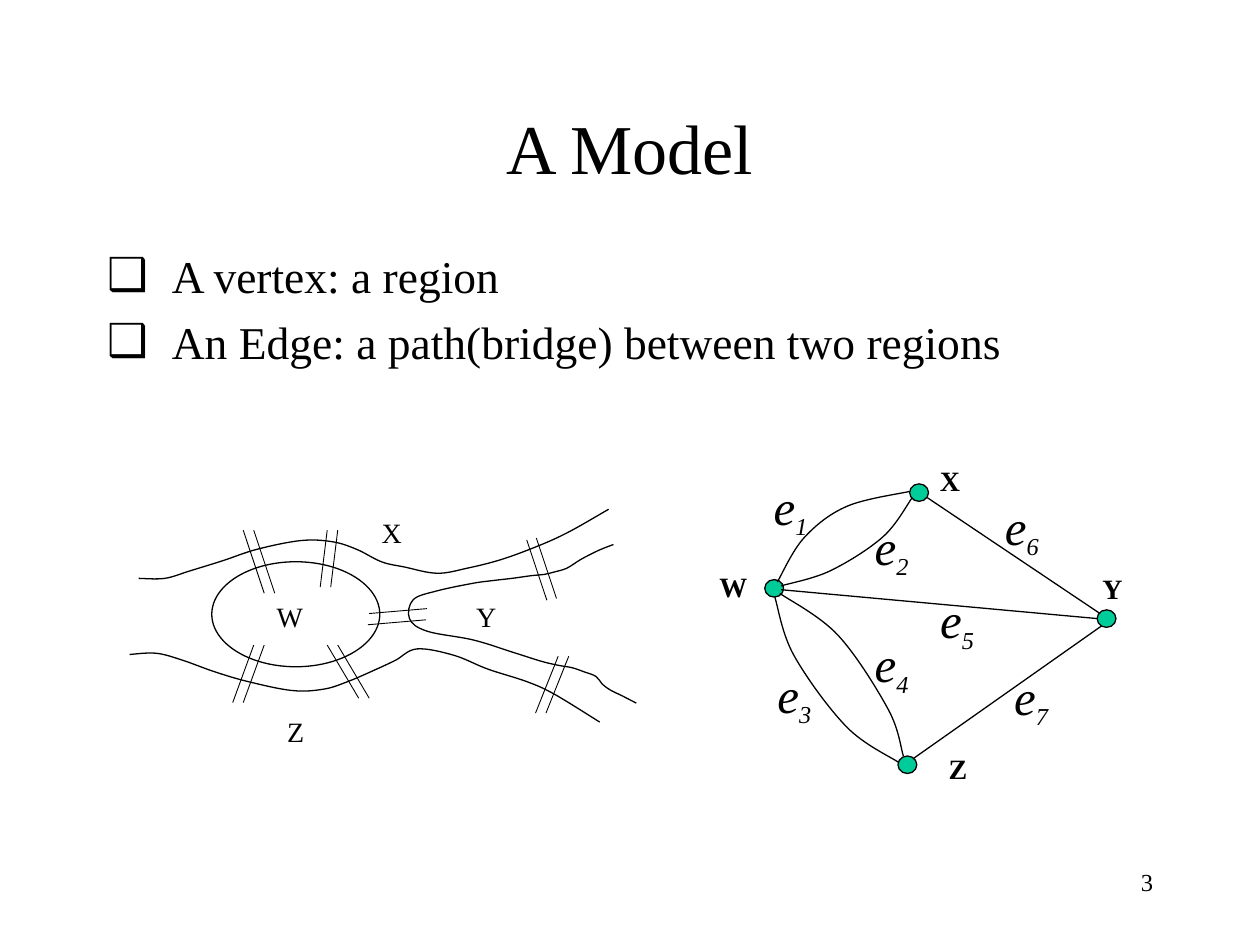
from lxml import etree
from pptx import Presentation
from pptx.dml.color import RGBColor
from pptx.enum import shapes, text
from pptx.oxml import ns
from pptx.util import Pt

BLACK = RGBColor(0x00, 0x00, 0x00)
GREEN = RGBColor(0x00, 0xCC, 0x99)
FONT = "Times New Roman"
THIN, NORMAL = 0.5, 0.75

# River banks, relative to the map box
LOWER_BANK = [(0, 83), (15.3, 82.3), (30.4, 86.3), (48.4, 92.8), (67.8, 98.5),
              (93, 103.6), (111, 102.8), (124.7, 98.5), (139.8, 92), (152, 86.3),
              (164.3, 79.8), (185.2, 83.4), (204.6, 91.3), (227, 98.5),
              (242.8, 105.7), (268.7, 121.6)]
UPPER_BANK = [(5.2, 39.5), (20.2, 39.5), (34.7, 35.2), (53.4, 29.4), (72.9, 22.9),
              (98, 17.9), (116, 18.6), (129.8, 22.9), (144.2, 30.1), (157, 33),
              (175.8, 36.6), (193, 33.7), (212.6, 28.7), (234, 20.8),
              (251.4, 12.8), (273.8, 0)]
FORK_BANK = [(276.6, 20.2), (268, 23.6), (258, 28.7), (250, 33.7), (242.8, 35.9),
             (237, 37.3), (229.8, 38), (219, 39.5), (206.8, 40.9), (196, 42.4),
             (175.8, 46.7), (162.2, 51.7), (160, 62.5), (170, 69.7),
             (196.7, 74.8), (219.8, 82), (235.6, 87), (245, 89.2),
             (252.9, 90.6), (259.4, 92.8), (266.6, 95.6), (270.2, 100),
             (275.2, 103.6), (281, 106.4), (289.6, 110.8)]
# Each bridge: start and end of its first rail, and the step to the second
BRIDGES = [((65, 12), (77, 48), (6, 0)), ((113, 12), (109, 44.5), (6, 0)),
           ((137, 59.6), (170, 56.8), (-0.7, 6.4)),
           ((227, 17.5), (238.5, 52), (5.5, -1)),
           ((245, 84), (232, 116.5), (6, 0)), ((113, 77.6), (131, 108), (6, 0)),
           ((71, 77.6), (59, 110.5), (6, 0))]
REGION_LABELS = {"X": (137, 0), "Y": (191, 48.2), "Z": (83, 114), "W": (77, 48.2)}

# Graph, relative to the graph box; vertices are given by their centres
VERTICES = {"X": (121.2, 20.5), "W": (38.4, 75.2), "Y": (228.3, 92.5), "Z": (114.5, 176)}
VERTEX_LABELS = {"X": (126, 0.4), "W": (0, 60.8), "Y": (218.8, 62.3), "Z": (131, 165.2)}
STRAIGHT_EDGES = [((42.4, 76), (223.1, 92.5)), ((118, 172.4), (225.3, 96.8)),
                  ((125.9, 23.4), (224.6, 89.6))]
CURVED_EDGES = [
    [(41.7, 78.1), (74.8, 101.9), (103.6, 144.4), (112.2, 171)],
    [(38.8, 80.3), (49.6, 113.4), (79.8, 154.4), (109.4, 174.6)],
    [(40.2, 71.6), (55.4, 46.4), (79.8, 28.4), (115.8, 19.8)],
    [(42.4, 73.8), (70.5, 65.2), (100.7, 45.7), (117.3, 23.4)]]
EDGE_LABELS = [(31, 7.6), (88.7, 30.6), (33.2, 115), (88.7, 97.6),
               (126.2, 72.4), (163.2, 19.1), (168.4, 116.3)]


def style(font, size, bold=False, italic=False):
    font.name, font.size, font.color.rgb = FONT, Pt(size), BLACK
    font.bold, font.italic = bold, italic


def move(shape, left, top, width, height):
    shape.left, shape.top = Pt(left), Pt(top)
    shape.width, shape.height = Pt(width), Pt(height)


def add_label(parts, left, top, width, height, words, size, **looks):
    box = parts.add_textbox(Pt(left), Pt(top), Pt(width), Pt(height))
    box.text_frame.word_wrap = True
    para = box.text_frame.paragraphs[0]
    para.text = words
    style(para.runs[0].font, size, **looks)
    return para


def add_line(parts, left, top, start, end, weight):
    line = parts.add_connector(
        shapes.MSO_CONNECTOR.STRAIGHT, Pt(left + start[0]), Pt(top + start[1]),
        Pt(left + end[0]), Pt(top + end[1]))
    line.line.color.rgb, line.line.width = BLACK, Pt(weight)
    etree.SubElement(line._element.spPr, ns.qn("a:effectLst"))


def bend(curve):
    """Turn the straight segments of a freeform into smooth Bezier ones."""
    knots = [(int(point.get("x")), int(point.get("y")))
             for point in curve._element.iter(ns.qn("a:pt"))]
    padded = [knots[0], *knots, knots[-1]]
    segments = list(curve._element.iter(ns.qn("a:lnTo")))
    for segment, a, b, c, d in zip(segments, padded, padded[1:], padded[2:], padded[3:]):
        segment.tag = ns.qn("a:cubicBezTo")
        segment.clear()
        leaving = [q + (r - p) / 6 for p, q, r in zip(a, b, c)]
        arriving = [q - (r - p) / 6 for p, q, r in zip(b, c, d)]
        for x, y in (leaving, arriving, c):
            point = etree.SubElement(segment, ns.qn("a:pt"))
            point.set("x", str(round(x)))
            point.set("y", str(round(y)))


def add_curve(parts, left, top, points):
    start, *rest = [(Pt(left + x), Pt(top + y)) for x, y in points]
    builder = parts.build_freeform(*start)
    builder.add_line_segments(rest, close=False)
    curve = builder.convert_to_shape()
    bend(curve)
    curve.fill.background()
    curve.line.color.rgb, curve.line.width = BLACK, Pt(NORMAL)
    curve.shadow.inherit = False


def add_oval(parts, left, top, width, height, colour=None):
    oval = parts.add_shape(shapes.MSO_SHAPE.OVAL, Pt(left), Pt(top), Pt(width), Pt(height))
    if colour is None:
        oval.fill.background()
    else:
        oval.fill.solid()
        oval.fill.fore_color.rgb = colour
    oval.line.color.rgb, oval.line.width = BLACK, Pt(NORMAL)
    oval.shadow.inherit = False


def fill_title(title, left, top, width, height):
    move(title, left, top, width, height)
    title.text_frame.text = "A Model"
    title.text_frame.vertical_anchor = text.MSO_ANCHOR.MIDDLE
    para = title.text_frame.paragraphs[0]
    para.alignment = text.PP_ALIGN.CENTER
    style(para.runs[0].font, 40)


def fill_body(body, left, top, width, height):
    move(body, left, top, width, height)
    body.text_frame.text = "A vertex: a region\nAn Edge: a path(bridge) between two regions"
    body.text_frame.auto_size = text.MSO_AUTO_SIZE.NONE
    for number, para in enumerate(body.text_frame.paragraphs):
        para.space_before = Pt(6.5 if number else 0)
        properties = para._p.get_or_add_pPr()
        properties.set("marL", str(Pt(37)))
        properties.set("indent", str(-Pt(37)))
        etree.SubElement(properties, ns.qn("a:buChar")).set("char", "❑")
        style(para.runs[0].font, 26)


def draw_map(parts, left, top):
    # Island and river banks
    add_oval(parts, left + 47, top + 30, 96, 60)
    for bank in (LOWER_BANK, UPPER_BANK, FORK_BANK):
        add_curve(parts, left, top, bank)
    # Bridges, two rails each
    for start, end, (dx, dy) in BRIDGES:
        add_line(parts, left, top, start, end, THIN)
        add_line(parts, left + dx, top + dy, start, end, THIN)
    for name, (x, y) in REGION_LABELS.items():
        add_label(parts, left + x, top + y, 42, 26.6, name, 16)


def draw_graph(parts, left, top):
    # Vertices
    for x, y in VERTICES.values():
        add_oval(parts, left + x - 5.4, top + y - 5, 10.8, 10, GREEN)
    # Edges
    for start, end in STRAIGHT_EDGES:
        add_line(parts, left, top, start, end, NORMAL)
    for points in CURVED_EDGES:
        add_curve(parts, left, top, points)
    # Labels
    for number, (x, y) in enumerate(EDGE_LABELS, 1):
        para = add_label(parts, left + x, top + y, 52, 44, "e", 28, italic=True)
        index = para.add_run()
        index.text = str(number)
        style(index.font, 24, italic=True)
        index.font._element.set("baseline", "-25000")
    for name, (x, y) in VERTEX_LABELS.items():
        add_label(parts, left + x, top + y, 42, 26.6, name, 16, bold=True)


def main():
    deck = Presentation()
    deck.slide_width, deck.slide_height = Pt(720), Pt(540)
    page = deck.slides.add_slide(deck.slide_layouts[1])
    fill_title(page.shapes.title, 54, 48, 612, 72)
    fill_body(page.placeholders[1], 54, 138, 612, 101)
    draw_graph(page.shapes.add_group_shape().shapes, 404, 261)
    draw_map(page.shapes.add_group_shape().shapes, 74, 291)
    # Page number
    number = add_label(page.shapes, 516, 492, 150, 36, "3", 14)
    number.alignment = text.PP_ALIGN.RIGHT
    deck.save("out.pptx")


if __name__ == "__main__":
    main()
